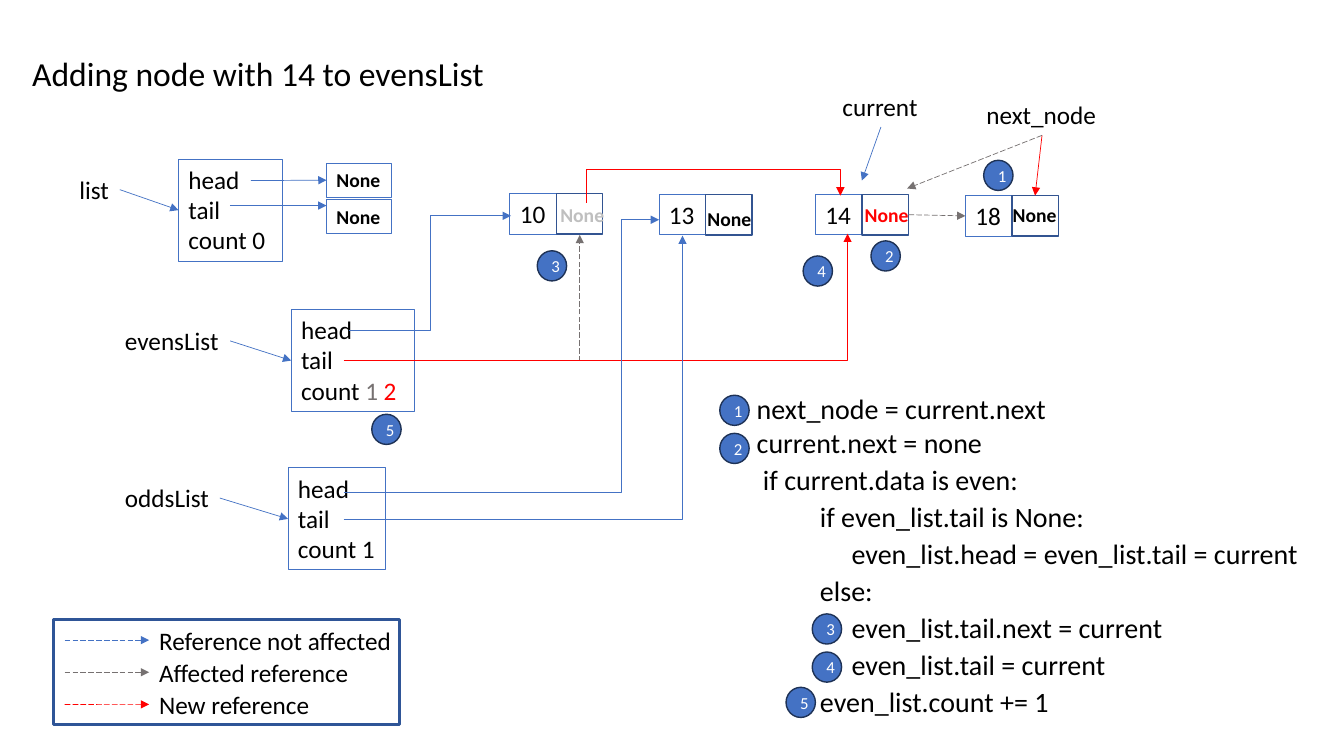
"""Builds the slide on adding a node to evensList."""
import dataclasses

import lxml.etree
import pptx
import pptx.dml.color
import pptx.enum.dml
import pptx.enum.shapes
import pptx.enum.text
import pptx.oxml.ns
import pptx.util

Cm = pptx.util.Cm
Pt = pptx.util.Pt
qn = pptx.oxml.ns.qn
RGBColor = pptx.dml.color.RGBColor


@dataclasses.dataclass(frozen=True)
class Theme:
    """Colours, font and type sizes of the slide."""
    font: str = "Calibri"
    text: str = "000000"
    kept: str = "4472C4"
    affected: str = "767171"
    new: str = "FF0000"
    faded: str = "BFBFBF"
    pointer: str = "325491"
    legend: str = "2F5597"
    badge_edge: str = "1E3256"
    badge_text: str = "FFFFFF"
    title_size: int = 24
    code_size: int = 20
    body_size: int = 18
    none_size: int = 14
    badge_size: int = 12


class Diagram:
    """Draws the elements of a reference diagram on one slide."""

    def __init__(self, slide, theme):
        self.shapes = slide.shapes
        self.theme = theme

    def style(self, paragraph, size, color=None, bold=False):
        paragraph.font.name = self.theme.font
        paragraph.font.size = Pt(size)
        paragraph.font.bold = bold
        paragraph.font.color.rgb = RGBColor.from_string(color or self.theme.text)

    def outline(self, shape, color, width):
        shape.line.color.rgb = RGBColor.from_string(color)
        shape.line.width = Pt(width)

    def text(self, lines, left, top, width, height=1.02, size=None, color=None,
             bold=False, wrap=False, framed=False):
        shape = self.shapes.add_textbox(Cm(left), Cm(top), Cm(width), Cm(height))
        frame = shape.text_frame
        frame.word_wrap = wrap
        frame.auto_size = pptx.enum.text.MSO_AUTO_SIZE.SHAPE_TO_FIT_TEXT
        frame.text = lines
        for paragraph in frame.paragraphs:
            self.style(paragraph, size or self.theme.body_size, color, bold)
        if framed:
            self.outline(shape, self.theme.kept, 0.75)
        return shape

    def none(self, left, top, width=1.78, color=None, framed=False):
        return self.text("None", left, top, width, 0.86, self.theme.none_size,
                         color, bold=True, wrap=True, framed=framed)

    def rectangle(self, left, top, width, height, color, line_width):
        shape = self.shapes.add_shape(
            pptx.enum.shapes.MSO_SHAPE.RECTANGLE, Cm(left), Cm(top), Cm(width), Cm(height))
        shape.shadow.inherit = False
        shape.fill.background()
        self.outline(shape, color, line_width)
        return shape

    def node(self, value, left, top):
        cell = 1.17
        self.text(value, left, top, cell, framed=True)
        return self.rectangle(left + cell, top, cell, 1.02, self.theme.pointer, 1)

    def badge(self, number, left, top):
        shape = self.shapes.add_shape(
            pptx.enum.shapes.MSO_SHAPE.OVAL, Cm(left), Cm(top), Cm(0.74), Cm(0.76))
        shape.shadow.inherit = False
        shape.fill.solid()
        shape.fill.fore_color.rgb = RGBColor.from_string(self.theme.kept)
        self.outline(shape, self.theme.badge_edge, 1)
        frame = shape.text_frame
        frame.text = str(number)
        frame.vertical_anchor = pptx.enum.text.MSO_ANCHOR.MIDDLE
        frame.paragraphs[0].alignment = pptx.enum.text.PP_ALIGN.CENTER
        self.style(frame.paragraphs[0], self.theme.badge_size, self.theme.badge_text)

    def finish(self, connector, color, dashed):
        self.outline(connector, color or self.theme.kept, 0.5)
        if dashed:
            connector.line.dash_style = pptx.enum.dml.MSO_LINE.LONG_DASH
        properties = connector._element.spPr
        line = properties.find(qn("a:ln"))
        lxml.etree.SubElement(line, qn("a:tailEnd"), type="triangle")
        lxml.etree.SubElement(properties, qn("a:effectLst"))

    def arrow(self, begin, end, color=None, dashed=False):
        """Joins two ends, each a point or a shape with its side."""
        points = [(0, 0) if hasattr(place[0], "shape_id") else place for place in (begin, end)]
        connector = self.shapes.add_connector(
            pptx.enum.shapes.MSO_CONNECTOR.STRAIGHT,
            *(Cm(value) for point in points for value in point))
        if hasattr(begin[0], "shape_id"):
            connector.begin_connect(*begin)
        if hasattr(end[0], "shape_id"):
            connector.end_connect(*end)
        self.finish(connector, color, dashed)

    def elbow(self, begin, end, color=None, dashed=False, bends=2, bend_at=0.5, upright=False):
        """Draws a bent arrow; an upright one leaves and arrives vertically."""
        (x1, y1), (x2, y2) = begin, end
        if upright:
            x, y = (x1 + x2) / 2, (y1 + y2) / 2
            x1, y1, x2, y2 = x + y1 - y, y + x - x1, x + y2 - y, y + x - x2
        connector = self.shapes.add_connector(
            pptx.enum.shapes.MSO_CONNECTOR.ELBOW, Cm(x1), Cm(y1), Cm(x2), Cm(y2))
        properties = connector._element.spPr
        if upright:
            properties.find(qn("a:xfrm")).set("rot", "5400000")
        geometry = properties.find(qn("a:prstGeom"))
        geometry.set("prst", f"bentConnector{bends + 1}")
        if bends == 2:
            lxml.etree.SubElement(geometry.find(qn("a:avLst")), qn("a:gd"),
                                  name="adj1", fmla=f"val {round(bend_at * 100000)}")
        self.finish(connector, color, dashed)


CODE = """next_node = current.next
current.next = none
 if current.data is even:
          if even_list.tail is None:
               even_list.head = even_list.tail = current
          else:
               even_list.tail.next = current
               even_list.tail = current
          even_list.count += 1"""

BADGES = [(1, 24.79, 4.04), (2, 21.95, 6.07), (3, 13.54, 6.32), (4, 20.24, 6.45),
          (5, 9.37, 10.44), (1, 18.14, 9.96), (2, 18.14, 10.92), (3, 20.47, 15.47),
          (4, 20.47, 16.43), (5, 19.81, 17.32)]


def main():
    theme = Theme()
    presentation = pptx.Presentation()
    presentation.slide_width, presentation.slide_height = Cm(33.87), Cm(19.05)
    slide = presentation.slides.add_slide(presentation.slide_layouts[6])
    diagram = Diagram(slide, theme)
    top, left, bottom, right = range(4)

    diagram.text("Adding node with 14 to evensList", 0.56, 1.22, 11.99, 1.27, theme.title_size)
    current = diagram.text("current", 20.98, 2.18, 2.44)
    next_node = diagram.text("next_node", 24.61, 2.39, 3.3)

    pointers = {value: diagram.node(value, x, y) for value, x, y in [
        ("10", 12.85, 4.88), ("13", 16.61, 4.9), ("14", 20.55, 4.9), ("18", 24.33, 4.93)]}
    for x, y, color in [(13.87, 4.98, theme.faded), (17.58, 5.08, theme.text),
                        (21.54, 5, theme.new), (25.27, 4.98, theme.text)]:
        diagram.none(x, y, color=color)

    records = {}
    for name, label, box, count in [
            ("list", (1.75, 4.27, 1.27), (4.5, 4.01, 2.62), "0"),
            ("evensList", (2.9, 8.08, 2.9), (7.34, 7.8, 3.1), ""),
            ("oddsList", (2.9, 12.04, 2.64), (7.26, 11.79, 2.46), "1")]:
        name_label = diagram.text(name, *label)
        records[name] = diagram.text(f"head\ntail\ncount {count}", *box, 2.57, framed=True)
        diagram.arrow((name_label, right), (records[name], left))
    count_line = records["evensList"].text_frame.paragraphs[-1]
    for value, color in [("1 ", theme.affected), ("2", theme.new)]:
        run = count_line.add_run()
        run.text = value
        run.font.color.rgb = RGBColor.from_string(color)

    list_head = diagram.none(8.23, 4.11, 1.63, framed=True)
    diagram.none(8.23, 5.03, 1.63, framed=True)
    diagram.arrow((6.32, 4.55), (list_head, left))
    diagram.arrow((5.79, 5.18), (8.23, 5.18))
    diagram.arrow((current, bottom), (21.72, 4.55))
    diagram.arrow((next_node, bottom), (pointers["18"], top), theme.new)
    diagram.arrow((next_node, bottom), (22.86, 4.75), theme.affected, dashed=True)
    diagram.arrow((pointers["14"], right), (24.33, 5.44), theme.affected, dashed=True)

    diagram.elbow((8.79, 8.33), (12.88, 5.44))
    diagram.elbow((10.41, 9.07), (14.61, 5.92), theme.affected, dashed=True, bends=1)
    diagram.elbow((8.66, 9.09), (21.36, 5.89), theme.new, bends=1)
    diagram.elbow((8.66, 12.4), (16.61, 5.54), bend_at=0.88)
    diagram.elbow((8.66, 13.08), (17.2, 5.94), bends=1)
    diagram.elbow((14.78, 5.11), (21.18, 4.93), theme.new, bend_at=4.63, upright=True)

    code = diagram.text(CODE, 18.82, 9.75, 14.53, 8.51, theme.code_size, wrap=True)
    for paragraph in code.text_frame.paragraphs[2:]:
        paragraph.line_spacing = 1.1

    diagram.rectangle(1.35, 15.62, 8.71, 2.64, theme.legend, 2.25)
    for row, (meaning, width, color) in enumerate([
            ("Reference not affected", 6.45, theme.kept),
            ("Affected reference", 5.36, theme.affected),
            ("New reference", 4.34, theme.new)]):
        y = 15.62 + 0.81 * row
        label = diagram.text(meaning, 3.76, y, width)
        diagram.arrow((1.63, y + 0.51), (label, left), color, dashed=True)

    for number, x, y in BADGES:
        diagram.badge(number, x, y)
    presentation.save("out.pptx")


if __name__ == "__main__":
    main()
